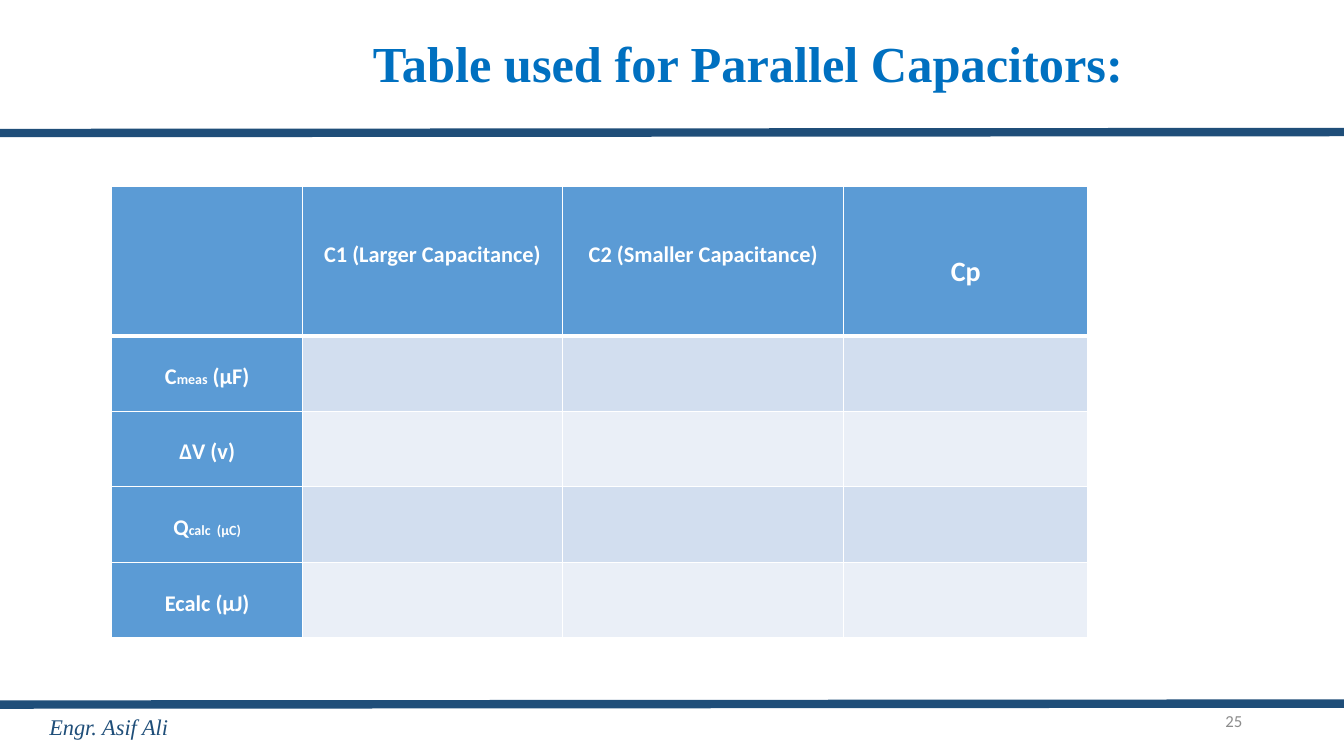
from dataclasses import dataclass

from lxml.etree import SubElement
from pptx import Presentation
from pptx.dml.color import RGBColor
from pptx.enum.shapes import MSO_CONNECTOR
from pptx.enum.text import MSO_ANCHOR, MSO_AUTO_SIZE, PP_ALIGN
from pptx.oxml.ns import qn
from pptx.util import Inches, Pt


@dataclass(frozen=True)
class Theme:
    title: str = "0070C0"
    navy: str = "1F4E79"
    grey: str = "8C8C8C"
    white: str = "FFFFFF"
    header: str = "5B9BD5"
    bands: tuple = ("D2DEEF", "EAEFF7")
    serif: str = "Times New Roman"
    sans: str = "Calibri"
    title_size: int = 36
    cp_size: int = 20
    body_size: int = 16
    number_size: int = 12
    small_size: int = 10


THEME = Theme()


@dataclass(frozen=True)
class Piece:
    text: str
    size: int = THEME.body_size
    font: str = THEME.sans
    color: str = THEME.white
    bold: bool = True
    italic: bool = False


@dataclass(frozen=True)
class Label:
    piece: Piece
    box: tuple
    align: PP_ALIGN


@dataclass(frozen=True)
class Rule:
    left_y: float
    right_y: float


# Slide content
WIDTH, HEIGHT = 13.33, 7.5
TITLE = Label(Piece("Table used for Parallel Capacitors:", THEME.title_size, THEME.serif, THEME.title),
              (1.97, 0.41, 10.9, 0.49), PP_ALIGN.CENTER)
FOOTERS = [
    Label(Piece("25", THEME.number_size, color=THEME.grey, bold=False),
          (9.42, 6.95, 3, 0.4), PP_ALIGN.RIGHT),
    Label(Piece("Engr. Asif Ali", THEME.body_size, THEME.serif, THEME.navy, False, True),
          (0.39, 7.01, 2.48, 0.4), PP_ALIGN.LEFT),
]
RULES = [Rule(6.99, 6.98), Rule(1.32, 1.31)]
COLUMN_WIDTHS = [1.89, 2.58, 2.79, 2.42]
ROW_HEIGHTS = [1.48] + [0.75] * 4
COLUMN_HEADS = [[], [Piece("C1 (Larger Capacitance)")], [Piece("C2 (Smaller Capacitance)")],
                [Piece("Cp", THEME.cp_size)]]
ROW_HEADS = [
    [Piece("C"), Piece("meas", THEME.small_size), Piece(" (µF)")],
    [Piece("ΔV (v)")],
    [Piece("Q"), Piece("calc  (µC)", THEME.small_size)],
    [Piece("Ecalc (µJ)")],
]


def write(p, pieces: list[Piece], align: PP_ALIGN, spacing: float = 1.0) -> None:
    p.alignment = align
    p.line_spacing = spacing
    for piece in pieces:
        r = p.add_run()
        r.text = piece.text
        r.font.size = Pt(piece.size)
        r.font.name = piece.font
        r.font.bold = piece.bold
        r.font.italic = piece.italic
        r.font.color.rgb = RGBColor.from_string(piece.color)


def fill_label(sp, label: Label, spacing: float = 1.0) -> None:
    sp.left, sp.top, sp.width, sp.height = map(Inches, label.box)
    tf = sp.text_frame
    tf.word_wrap = True
    tf.auto_size = MSO_AUTO_SIZE.NONE
    tf.vertical_anchor = MSO_ANCHOR.MIDDLE
    write(tf.paragraphs[0], [label.piece], label.align, spacing)


def add_rule(s, rule: Rule) -> None:
    line = s.shapes.add_connector(MSO_CONNECTOR.STRAIGHT, Inches(0), Inches(rule.left_y),
                                  Inches(WIDTH), Inches(rule.right_y))
    line.line.color.rgb = RGBColor.from_string(THEME.navy)
    line.line.width = Pt(6)
    SubElement(line._element.spPr, qn("a:effectLst"))


def add_borders(cell, row: int) -> None:
    widths = {"L": 1, "R": 1, "T": 3 if row == 1 else 1, "B": 3 if row == 0 else 1}
    tc_pr = cell._tc.get_or_add_tcPr()
    for side, width in widths.items():
        ln = SubElement(tc_pr, qn(f"a:ln{side}"), w=str(Pt(width)))
        SubElement(SubElement(ln, qn("a:solidFill")), qn("a:srgbClr"), val=THEME.white)


def add_capacitor_table(s) -> None:
    table = s.shapes.add_table(len(ROW_HEIGHTS), len(COLUMN_WIDTHS), Inches(1.11), Inches(1.85),
                               Inches(sum(COLUMN_WIDTHS)), Inches(sum(ROW_HEIGHTS))).table
    table.first_col = True
    for column, width in zip(table.columns, COLUMN_WIDTHS):
        column.width = Inches(width)
    for i, height in enumerate(ROW_HEIGHTS):
        table.rows[i].height = Inches(height)
        for j, cell in enumerate(table.rows[i].cells):
            add_borders(cell, i)
            is_head = i == 0 or j == 0
            cell.fill.solid()
            cell.fill.fore_color.rgb = RGBColor.from_string(
                THEME.header if is_head else THEME.bands[(i - 1) % 2])
            pieces = COLUMN_HEADS[j] if i == 0 else ROW_HEADS[i - 1] if j == 0 else []
            if pieces:
                cell.margin_left = cell.margin_right = Inches(0.07)
                cell.margin_top = cell.margin_bottom = Inches(0)
                write(cell.text_frame.paragraphs[0], pieces, PP_ALIGN.CENTER, 3.0 if i == 0 else 2.0)


def main() -> None:
    prs = Presentation()
    prs.slide_width, prs.slide_height = Inches(WIDTH), Inches(HEIGHT)
    s = prs.slides.add_slide(prs.slide_layouts[5])

    # Title, rules and footer
    fill_label(s.shapes.title, TITLE, 0.9)
    for rule in RULES:
        add_rule(s, rule)
    for label in FOOTERS:
        fill_label(s.shapes.add_textbox(*map(Inches, label.box)), label)

    # Measurement table
    add_capacitor_table(s)
    prs.save("out.pptx")


if __name__ == "__main__":
    main()
